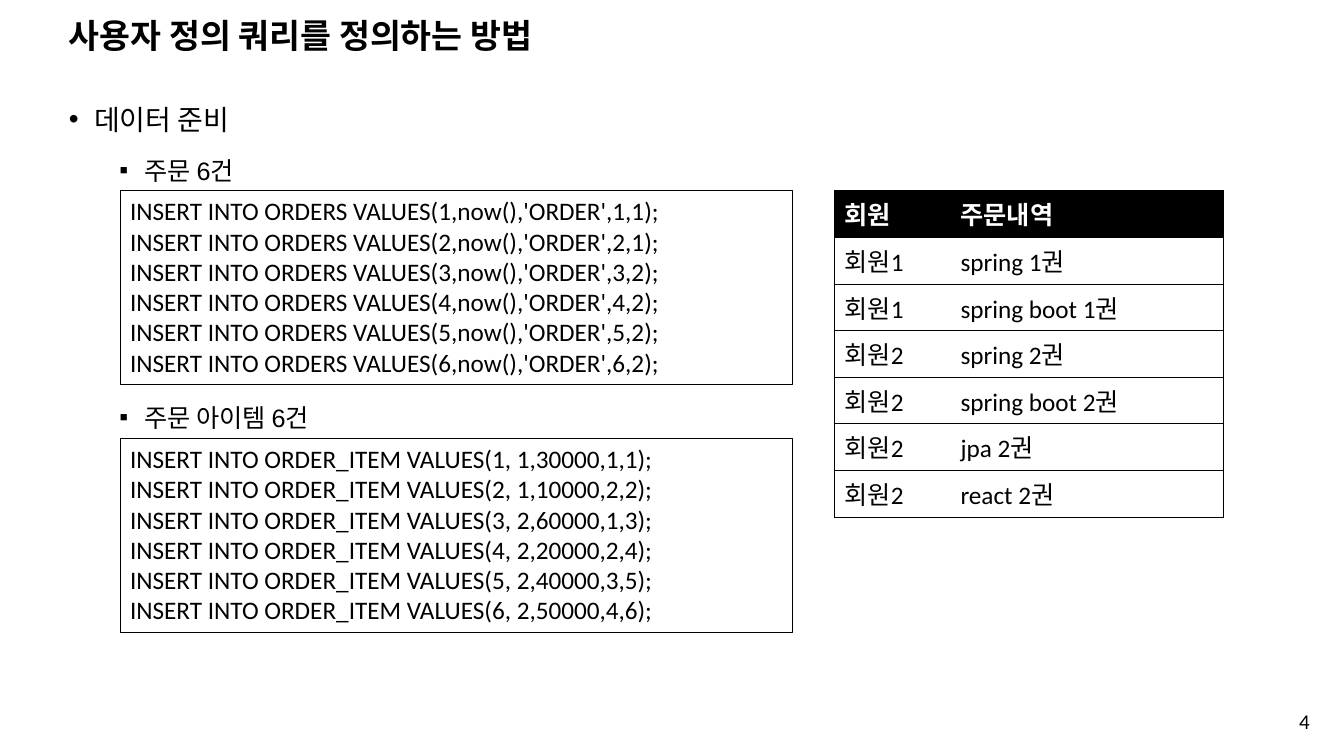
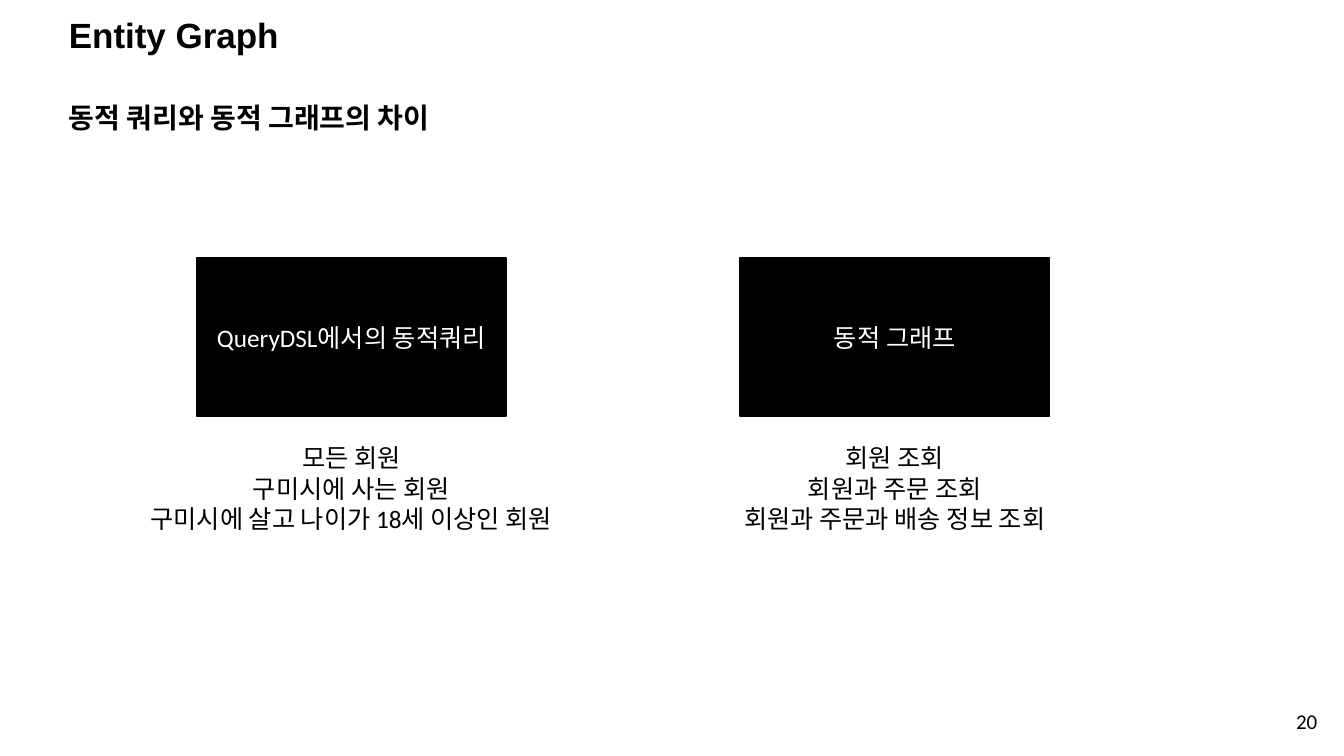
from dataclasses import dataclass
from typing import Optional, Sequence

from lxml.etree import SubElement
from pptx import Presentation
from pptx.dml.color import RGBColor
from pptx.enum.shapes import MSO_SHAPE as Preset
from pptx.enum.text import MSO_ANCHOR as Anchor
from pptx.enum.text import MSO_AUTO_SIZE as AutoSize
from pptx.enum.text import PP_ALIGN as Align
from pptx.oxml.ns import qn
from pptx.util import Inches, Pt

BLACK = RGBColor(0x00, 0x00, 0x00)
WHITE = RGBColor(0xFF, 0xFF, 0xFF)
HEADING_FONT = "Arial"
TEXT_FONT = "Calibri"
TEXT_SIZE = 18
WIDTH = Inches(13.33)
HEIGHT = Inches(7.5)
COLUMN = WIDTH / 32
ROW = HEIGHT / 18
MARGIN = 1.4
TITLE_LAYOUT, CONTENT_LAYOUT = 5, 1


@dataclass(frozen=True)
class Area:
    column: float
    row: float
    columns: float
    rows: float

    def emu(self) -> tuple[int, int, int, int]:
        return (round(self.column * COLUMN), round(self.row * ROW),
                round(self.columns * COLUMN), round(self.rows * ROW))


@dataclass(frozen=True)
class TextStyle:
    size: float = TEXT_SIZE
    font: str = TEXT_FONT
    color: RGBColor = BLACK
    bold: bool = False
    align: Align = Align.LEFT
    anchor: Anchor = Anchor.TOP
    wrap: bool = True
    line_spacing: float = 1.0


@dataclass(frozen=True)
class Bullet:
    text: str
    level: int
    size: float
    space_before: float


@dataclass(frozen=True)
class Concept:
    name: str
    examples: tuple[str, ...]
    caption_columns: float


TITLE_AREA = Area(MARGIN, 0.43, 27.6, 0.91)
BODY_AREA = Area(MARGIN, 2, 29.74, 15.07)
SUBTITLE_AREA = Area(MARGIN, 2.28, 9.84, 1.06)
CODE_COLUMN, CODE_COLUMNS, CODE_ROWS = 2.86, 16, 4.61
CODE_TOPS = (4.54, 10.44)
TABLE_COLUMN, TABLE_COLUMNS, TABLE_ROW = 19.87, (2.76, 6.5), 0.97
CONCEPT_AREA = Area(4.68, 6.14, 7.37, 3.77)
CONCEPT_STEP = 12.94
CAPTION_TOP, CAPTION_ROWS = 10.42, 2.42

BULLETS = (
    Bullet("데이터 준비", 0, 20, 0),
    Bullet("주문 6건", 1, TEXT_SIZE, 5),
    Bullet("주문 아이템 6건", 1, TEXT_SIZE, 146),
)
BULLET_MARKS = ("•", "▪")
BULLET_INDENTS = (0.25, 0.75)

ORDER_MEMBERS = (1, 1, 2, 2, 2, 2)
ITEM_VALUES = ((1, 30000, 1), (1, 10000, 2), (2, 60000, 1),
               (2, 20000, 2), (2, 40000, 3), (2, 50000, 4))
CODE_BLOCKS = (
    [f"INSERT INTO ORDERS VALUES({number},now(),'ORDER',{number},{member});"
     for number, member in enumerate(ORDER_MEMBERS, 1)],
    [f"INSERT INTO ORDER_ITEM VALUES({number}, {member},{price},{item},{number});"
     for number, (member, price, item) in enumerate(ITEM_VALUES, 1)],
)
ORDER_TABLE = (
    ("회원", "주문내역"),
    ("회원1", "spring 1권"),
    ("회원1", "spring boot 1권"),
    ("회원2", "spring 2권"),
    ("회원2", "spring boot 2권"),
    ("회원2", "jpa 2권"),
    ("회원2", "react 2권"),
)
CONCEPTS = (
    Concept("QueryDSL에서의 동적쿼리",
            ("모든 회원", "구미시에 사는 회원", "구미시에 살고 나이가 18세 이상인 회원"), 10.87),
    Concept("동적 그래프",
            ("회원 조회", "회원과 주문 조회", "회원과 주문과 배송 정보 조회"), 8.3),
)


def style_para(para, style: TextStyle) -> None:
    para.alignment = style.align
    para.line_spacing = style.line_spacing
    para.font.size = Pt(style.size)
    para.font.name = style.font
    para.font.bold = style.bold
    para.font.color.rgb = style.color


def write_lines(frame, lines: Sequence[str], style: TextStyle) -> None:
    frame.word_wrap = style.wrap
    frame.auto_size = AutoSize.NONE
    frame.vertical_anchor = style.anchor
    for index, line in enumerate(lines):
        para = frame.add_paragraph() if index else frame.paragraphs[0]
        para.text = line
        style_para(para, style)


def place(shape, area: Area) -> None:
    shape.left, shape.top, shape.width, shape.height = area.emu()


def add_text(page, area: Area, lines: Sequence[str], style: TextStyle) -> None:
    box = page.shapes.add_textbox(*area.emu())
    write_lines(box.text_frame, lines, style)


def add_box(page, area: Area, lines: Sequence[str], style: TextStyle,
            fill: Optional[RGBColor], line_width: float) -> None:
    box = page.shapes.add_shape(Preset.RECTANGLE, *area.emu())
    box.shadow.inherit = False
    if fill is None:
        box.fill.background()
    else:
        box.fill.solid()
        box.fill.fore_color.rgb = fill
    box.line.color.rgb = BLACK
    box.line.width = Pt(line_width)
    write_lines(box.text_frame, lines, style)


def add_page(deck, layout: int, title: str, title_size: float,
             number: str, number_area: Area):
    page = deck.slides.add_slide(deck.slide_layouts[layout])
    place(page.shapes.title, TITLE_AREA)
    write_lines(page.shapes.title.text_frame, [title],
                TextStyle(title_size, HEADING_FONT, bold=True,
                          anchor=Anchor.MIDDLE, line_spacing=0.9))
    add_text(page, number_area, [number],
             TextStyle(15, align=Align.RIGHT, anchor=Anchor.MIDDLE))
    return page


def fill_body(body, bullets: Sequence[Bullet]) -> None:
    place(body, BODY_AREA)
    write_lines(body.text_frame, [bullet.text for bullet in bullets], TextStyle())
    for para, bullet in zip(body.text_frame.paragraphs, bullets):
        para.level = bullet.level
        para.space_before = Pt(bullet.space_before)
        properties = para._p.get_or_add_pPr()
        properties.set("marL", str(Inches(BULLET_INDENTS[bullet.level])))
        properties.set("indent", str(Inches(-0.25)))
        defaults = properties.find(qn("a:defRPr"))
        if defaults is not None:
            properties.remove(defaults)
        SubElement(properties, qn("a:buFont"), typeface=HEADING_FONT)
        SubElement(properties, qn("a:buChar"), char=BULLET_MARKS[bullet.level])
        style_para(para, TextStyle(bullet.size, HEADING_FONT, line_spacing=1.4))


def set_borders(cell, visible: str) -> None:
    properties = cell._tc.get_or_add_tcPr()
    for side in "LRTB":
        line = SubElement(properties, qn(f"a:ln{side}"), w=str(Pt(0.5)))
        if side in visible:
            fill = SubElement(line, qn("a:solidFill"))
            SubElement(fill, qn("a:srgbClr"), val=str(BLACK))
        else:
            SubElement(line, qn("a:noFill"))


def add_order_table(page) -> None:
    area = Area(TABLE_COLUMN, CODE_TOPS[0], sum(TABLE_COLUMNS),
                TABLE_ROW * len(ORDER_TABLE))
    table = page.shapes.add_table(len(ORDER_TABLE), len(TABLE_COLUMNS),
                                  *area.emu()).table
    table.first_row = False
    table.horz_banding = False
    for column, columns in zip(table.columns, TABLE_COLUMNS):
        column.width = round(columns * COLUMN)
    for row_index, values in enumerate(ORDER_TABLE):
        header = row_index == 0
        table.rows[row_index].height = round(TABLE_ROW * ROW)
        for column_index, value in enumerate(values):
            cell = table.cell(row_index, column_index)
            set_borders(cell, "TBR" if column_index else "TBL")
            cell.fill.solid()
            cell.fill.fore_color.rgb = BLACK if header else WHITE
            para = cell.text_frame.paragraphs[0]
            para.text = value
            style_para(para, TextStyle(color=WHITE if header else BLACK, bold=header))


def add_data_page(deck) -> None:
    page = add_page(deck, CONTENT_LAYOUT, "사용자 정의 쿼리를 정의하는 방법", 24,
                    "4", Area(24.22, 16.68, 7.2, 0.96))
    fill_body(page.placeholders[1], BULLETS)
    for top, lines in zip(CODE_TOPS, CODE_BLOCKS):
        add_box(page, Area(CODE_COLUMN, top, CODE_COLUMNS, CODE_ROWS), lines,
                TextStyle(), None, 0.75)
    add_order_table(page)


def add_graph_page(deck) -> None:
    page = add_page(deck, TITLE_LAYOUT, "Entity Graph", 25,
                    "20", Area(22.6, 16.68, 9, 1))
    add_text(page, SUBTITLE_AREA, ["동적 쿼리와 동적 그래프의 차이"],
             TextStyle(20, bold=True, wrap=False))
    for index, concept in enumerate(CONCEPTS):
        left = CONCEPT_AREA.column + index * CONCEPT_STEP
        add_box(page, Area(left, CONCEPT_AREA.row, CONCEPT_AREA.columns, CONCEPT_AREA.rows),
                [concept.name],
                TextStyle(color=WHITE, align=Align.CENTER, anchor=Anchor.MIDDLE),
                BLACK, 1)
        caption_left = left + (CONCEPT_AREA.columns - concept.caption_columns) / 2
        add_text(page, Area(caption_left, CAPTION_TOP, concept.caption_columns, CAPTION_ROWS),
                 concept.examples, TextStyle(align=Align.CENTER, wrap=False))


def main() -> None:
    deck = Presentation()
    deck.slide_width = WIDTH
    deck.slide_height = HEIGHT
    add_data_page(deck)
    add_graph_page(deck)
    deck.save("out.pptx")


if __name__ == "__main__":
    main()
